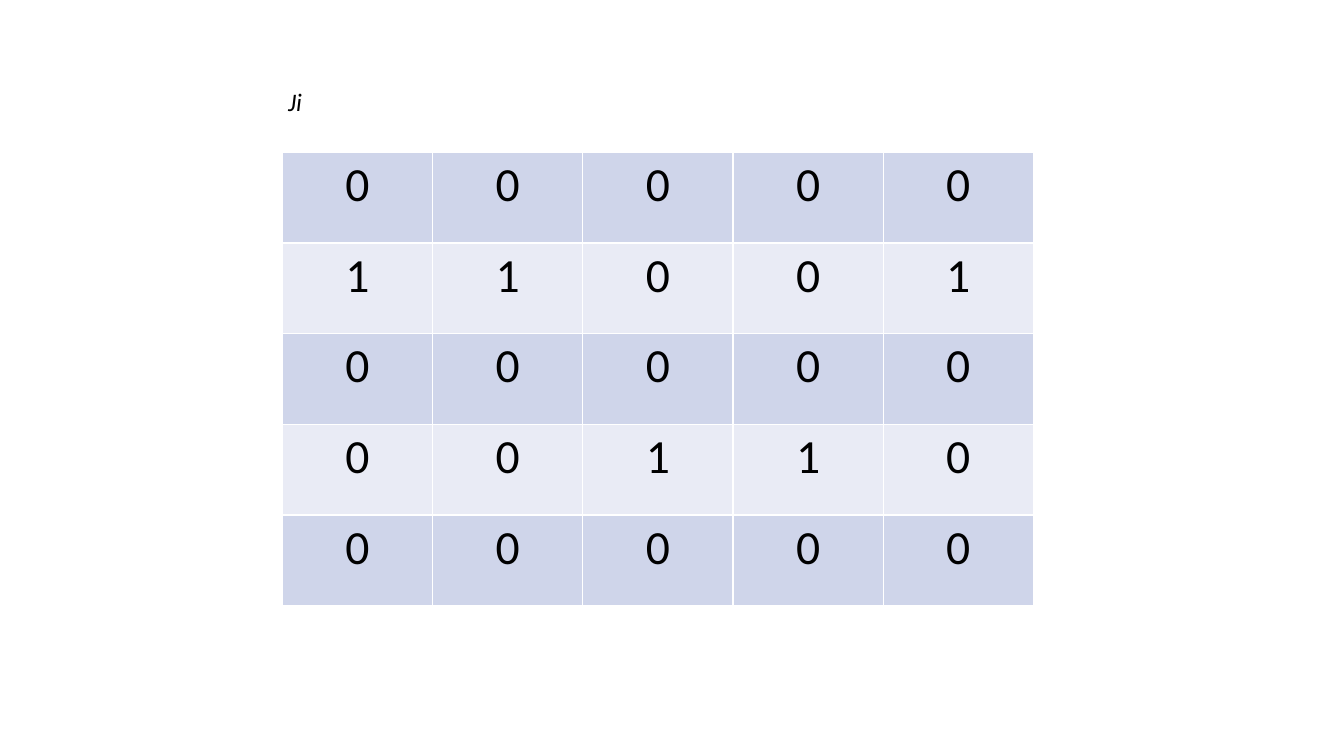
from lxml import etree
from pptx import Presentation
from pptx.dml.color import RGBColor
from pptx.enum.text import PP_ALIGN
from pptx.oxml.ns import qn
from pptx.util import Inches, Pt

CENTER, LEFT = PP_ALIGN.CENTER, PP_ALIGN.LEFT
BLACK = RGBColor(0x00, 0x00, 0x00)
WHITE = RGBColor(0xFF, 0xFF, 0xFF)
BANDS = (RGBColor(0xCF, 0xD5, 0xEA), RGBColor(0xE9, 0xEB, 0xF5))
FONT = "Calibri"

LABEL = "Ji"
MATRIX = [
    (0, 0, 0, 0, 0),
    (1, 1, 0, 0, 1),
    (0, 0, 0, 0, 0),
    (0, 0, 1, 1, 0),
    (0, 0, 0, 0, 0),
]
COL_W, ROW_H = 1.49, 0.9


def write(tf, text, size, align=LEFT, italic=False):
    p = tf.paragraphs[0]
    p.alignment = align
    r = p.add_run()
    r.text = text
    r.font.name = FONT
    r.font.size = Pt(size)
    r.font.italic = italic
    r.font.color.rgb = BLACK


def add_borders(cell, color, width):
    tc_pr = cell._tc.get_or_add_tcPr()
    for i, side in enumerate(("lnL", "lnR", "lnT", "lnB")):
        ln = etree.Element(qn("a:" + side), w=str(Pt(width)))
        fill = etree.SubElement(ln, qn("a:solidFill"))
        etree.SubElement(fill, qn("a:srgbClr"), val=str(color))
        tc_pr.insert(i, ln)


prs = Presentation()
prs.slide_width, prs.slide_height = Inches(13.33), Inches(7.5)
s = prs.slides.add_slide(prs.slide_layouts[6])

n_rows, n_cols = len(MATRIX), len(MATRIX[0])
table = s.shapes.add_table(n_rows, n_cols, Inches(2.8), Inches(1.51),
                           Inches(n_cols * COL_W), Inches(n_rows * ROW_H)).table
table.first_row = False
for col in table.columns:
    col.width = Inches(COL_W)
for i, values in enumerate(MATRIX):
    table.rows[i].height = Inches(ROW_H)
    for j, value in enumerate(values):
        cell = table.cell(i, j)
        cell.margin_left = cell.margin_right = Inches(0.09)
        cell.margin_top = cell.margin_bottom = Inches(0.04)
        cell.fill.solid()
        cell.fill.fore_color.rgb = BANDS[i % 2]
        add_borders(cell, WHITE, 1)
        write(cell.text_frame, str(value), 34, align=CENTER)

tf = s.shapes.add_textbox(Inches(2.76), Inches(0.81), Inches(0.43), Inches(0.4)).text_frame
tf.word_wrap = True
write(tf, LABEL, 18, italic=True)

prs.save("out.pptx")
